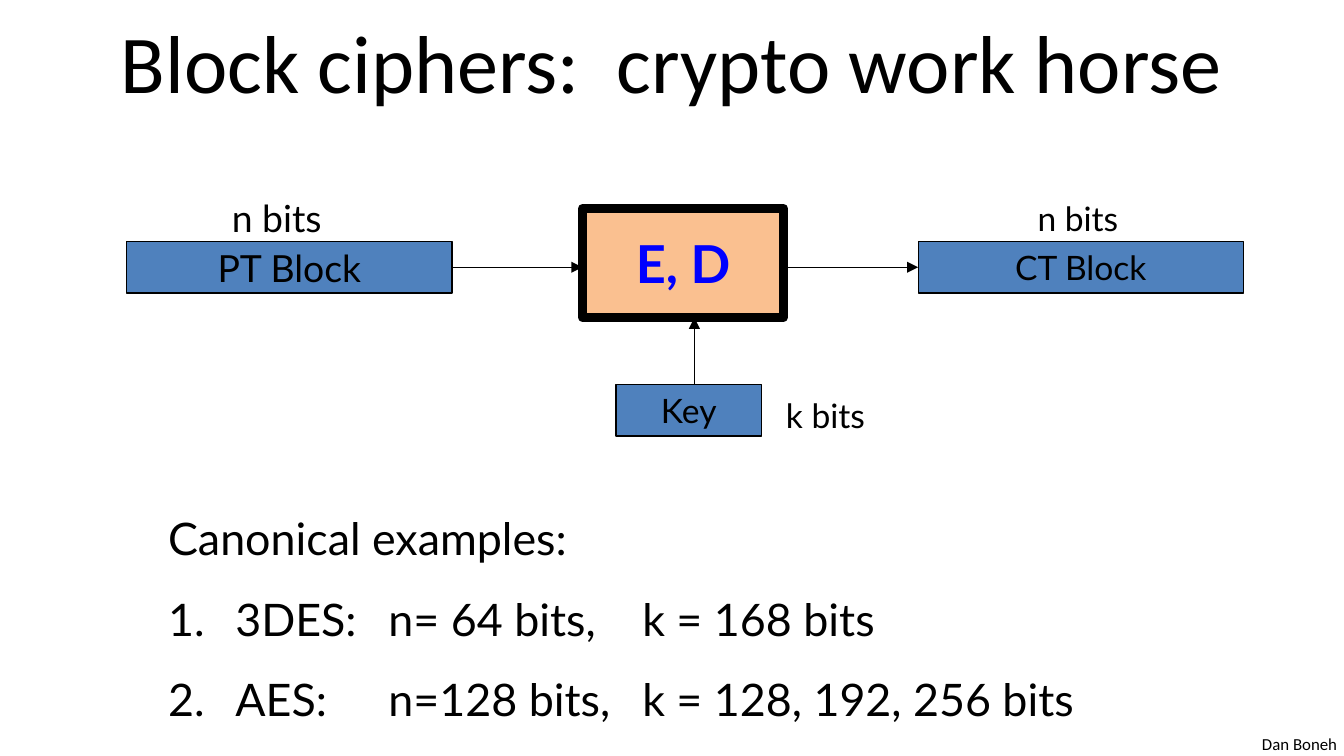
"""Builds the block cipher overview slide."""
from dataclasses import dataclass

from lxml import etree
from pptx import Presentation
from pptx.dml.color import RGBColor
from pptx.enum.shapes import MSO_CONNECTOR, MSO_SHAPE
from pptx.enum.text import MSO_ANCHOR, PP_ALIGN
from pptx.oxml.ns import qn
from pptx.util import Pt


@dataclass(frozen=True)
class Theme:
    ink: RGBColor = RGBColor(0, 0, 0)
    block: RGBColor = RGBColor(0x4F, 0x81, 0xBD)
    cipher: RGBColor = RGBColor(0xFA, 0xC0, 0x90)
    accent: RGBColor = RGBColor(0, 0, 0xFF)
    heading_font: str = "Calibri"
    body_font: str = "Lato"
    title: int = 44
    cipher_label: int = 28
    body: int = 24
    input_label: int = 20
    label: int = 18
    footer: int = 9
    thin: float = 0.75
    thick: float = 4.5


THEME = Theme()


def write(paragraph, text, size, font=THEME.body_font, color=THEME.ink, bold=False):
    run = paragraph.add_run()
    run.text = text
    run.font.size = Pt(size)
    run.font.name = font
    run.font.color.rgb = color
    run.font.bold = bold


def add_label(slide, box, text, size, font=THEME.body_font,
              align=PP_ALIGN.CENTER, anchor=MSO_ANCHOR.TOP):
    frame = slide.shapes.add_textbox(*map(Pt, box)).text_frame
    frame.word_wrap = False
    frame.vertical_anchor = anchor
    frame.paragraphs[0].alignment = align
    write(frame.paragraphs[0], text, size, font)


def add_block(slide, box, text, size, fill=THEME.block, border=THEME.thin,
              color=THEME.ink, bold=False):
    shape = slide.shapes.add_shape(MSO_SHAPE.RECTANGLE, *map(Pt, box))
    shape.shadow.inherit = False
    shape.fill.solid()
    shape.fill.fore_color.rgb = fill
    shape.line.color.rgb = THEME.ink
    shape.line.width = Pt(border)
    frame = shape.text_frame
    frame.word_wrap = False
    frame.vertical_anchor = MSO_ANCHOR.MIDDLE
    frame.paragraphs[0].alignment = PP_ALIGN.CENTER
    write(frame.paragraphs[0], text, size, color=color, bold=bold)


def add_arrow(slide, start, end):
    arrow = slide.shapes.add_connector(MSO_CONNECTOR.STRAIGHT, *map(Pt, start + end))
    arrow.line.color.rgb = THEME.ink
    arrow.line.width = Pt(THEME.thin)
    etree.SubElement(arrow.line._get_or_add_ln(), qn("a:tailEnd"), type="triangle")
    etree.SubElement(arrow._element.spPr, qn("a:effectLst"))


def number_item(paragraph, indent, tab_stops):
    paragraph.line_spacing = 1.5
    props = paragraph._p.get_or_add_pPr()
    props.set("marL", str(Pt(indent)))
    props.set("indent", str(Pt(-indent)))
    etree.SubElement(props, qn("a:buFont"), typeface="+mj-lt")
    etree.SubElement(props, qn("a:buAutoNum"), type="arabicPeriod")
    stops = etree.SubElement(props, qn("a:tabLst"))
    for stop in tab_stops:
        etree.SubElement(stops, qn("a:tab"), pos=str(Pt(stop)), algn="l")


def add_examples(slide, box, heading, items):
    frame = slide.shapes.add_textbox(*map(Pt, box)).text_frame
    frame.word_wrap = True
    write(frame.paragraphs[0], heading, THEME.body)
    for item in items:
        paragraph = frame.add_paragraph()
        number_item(paragraph, 36, (118, 254))
        write(paragraph, "\t".join(item), THEME.body)


def add_diagram(slide):
    flow_y, block_h, block_w = 143.2, 27.4, 174.3
    block_y = flow_y - block_h / 2
    plain_x, cipher_x, output_x = 67.9, 312, 491.9
    cipher_w, cipher_h = 107.8, 58.6
    cipher_y = 111.6
    key_x, key_y, key_w = 330, 206.1, 78

    add_block(slide, (cipher_x, cipher_y, cipher_w, cipher_h), "E, D",
              THEME.cipher_label, THEME.cipher, THEME.thick, THEME.accent, True)
    add_arrow(slide, (plain_x + block_w, flow_y), (cipher_x, flow_y))
    add_arrow(slide, (cipher_x + cipher_w, flow_y), (output_x, flow_y))
    add_arrow(slide, (372, key_y), (372, cipher_y + cipher_h))

    add_block(slide, (plain_x, block_y, block_w, block_h), "PT Block", THEME.input_label)
    add_block(slide, (output_x, block_y, block_w, block_h), "CT Block", THEME.label)
    add_block(slide, (key_x, key_y, key_w, block_h), "Key", THEME.label)

    add_label(slide, (116.6, 101, 63.4, 31.5), "n bits", THEME.input_label)
    add_label(slide, (548, 102.4, 59, 29), "n bits", THEME.label)
    add_label(slide, (413.5, 208, 57.6, 29), "k bits", THEME.label)


def main():
    prs = Presentation()
    prs.slide_width, prs.slide_height = Pt(720), Pt(405)
    slide = prs.slides.add_slide(prs.slide_layouts[6])
    add_label(slide, (669, 389.5, 54.7, 18), "Dan Boneh", THEME.footer,
              THEME.heading_font, PP_ALIGN.LEFT)
    add_label(slide, (36, -1.5, 648, 67.5), "Block ciphers:  crypto work horse",
              THEME.title, THEME.heading_font, anchor=MSO_ANCHOR.MIDDLE)
    add_diagram(slide)
    add_examples(slide, (83, 270, 524, 121), "Canonical examples:", (
        ("3DES:", "n= 64 bits,", "k = 168 bits"),
        ("AES:", "n=128 bits,", "k = 128, 192, 256 bits"),
    ))
    prs.save("out.pptx")


main()
